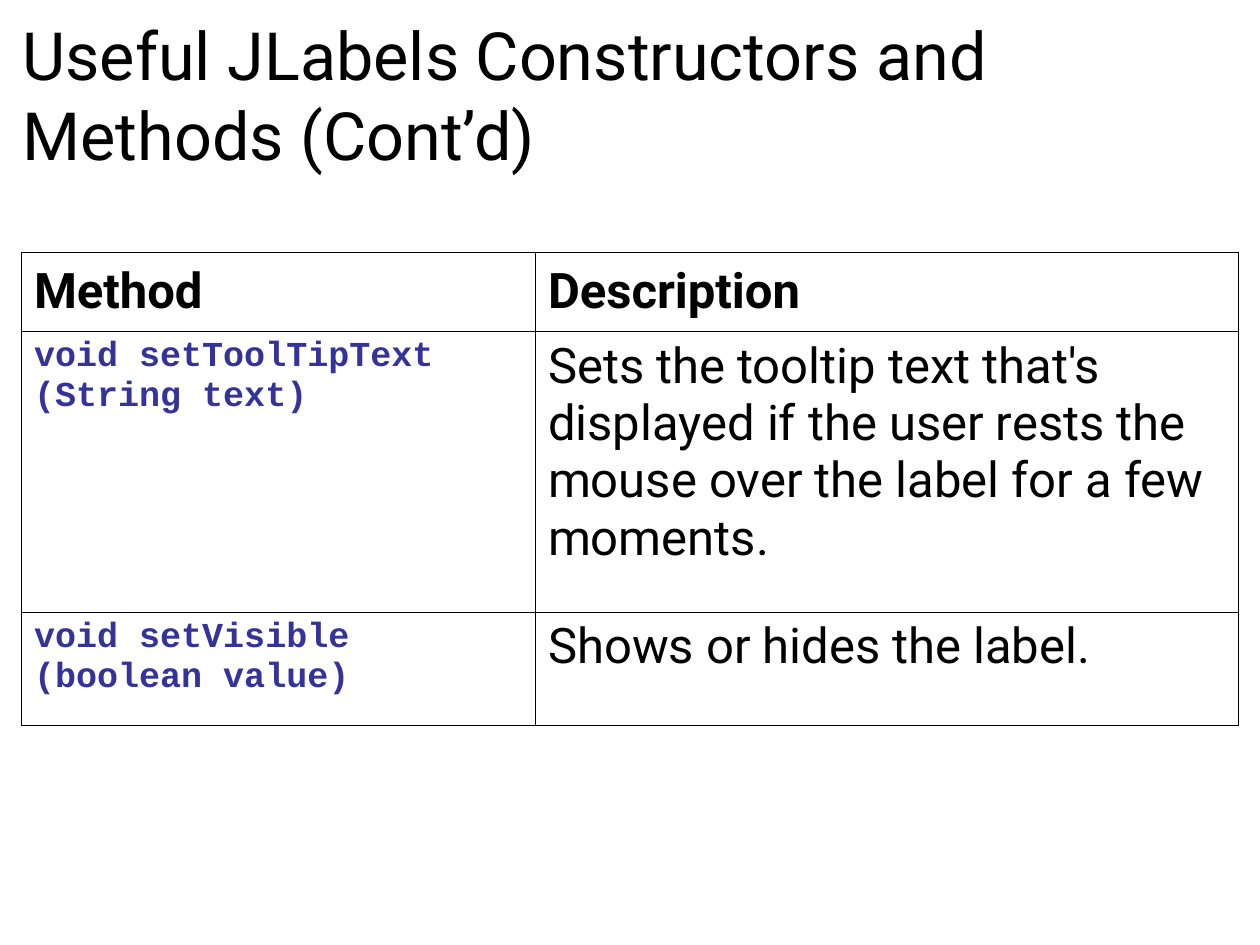
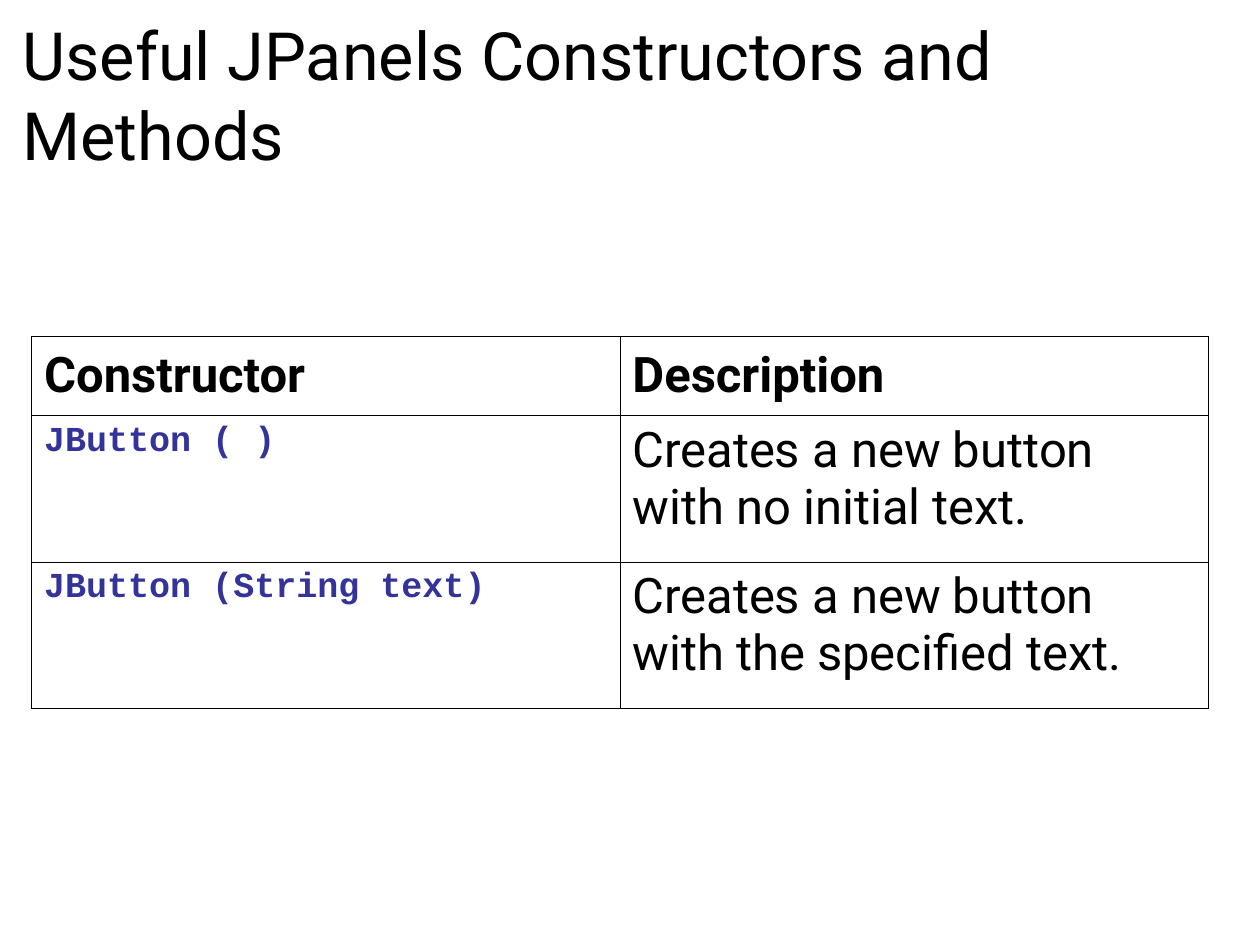
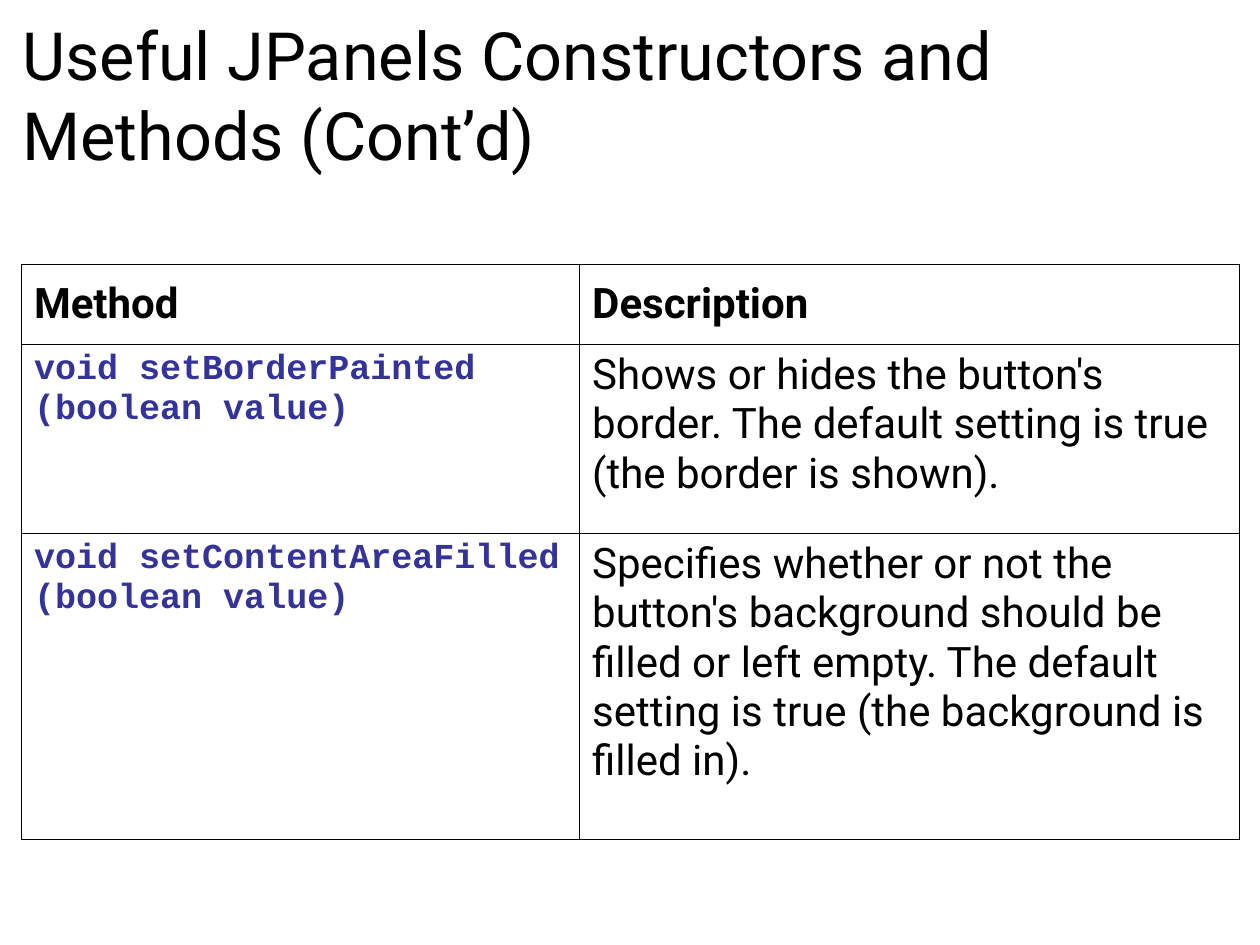
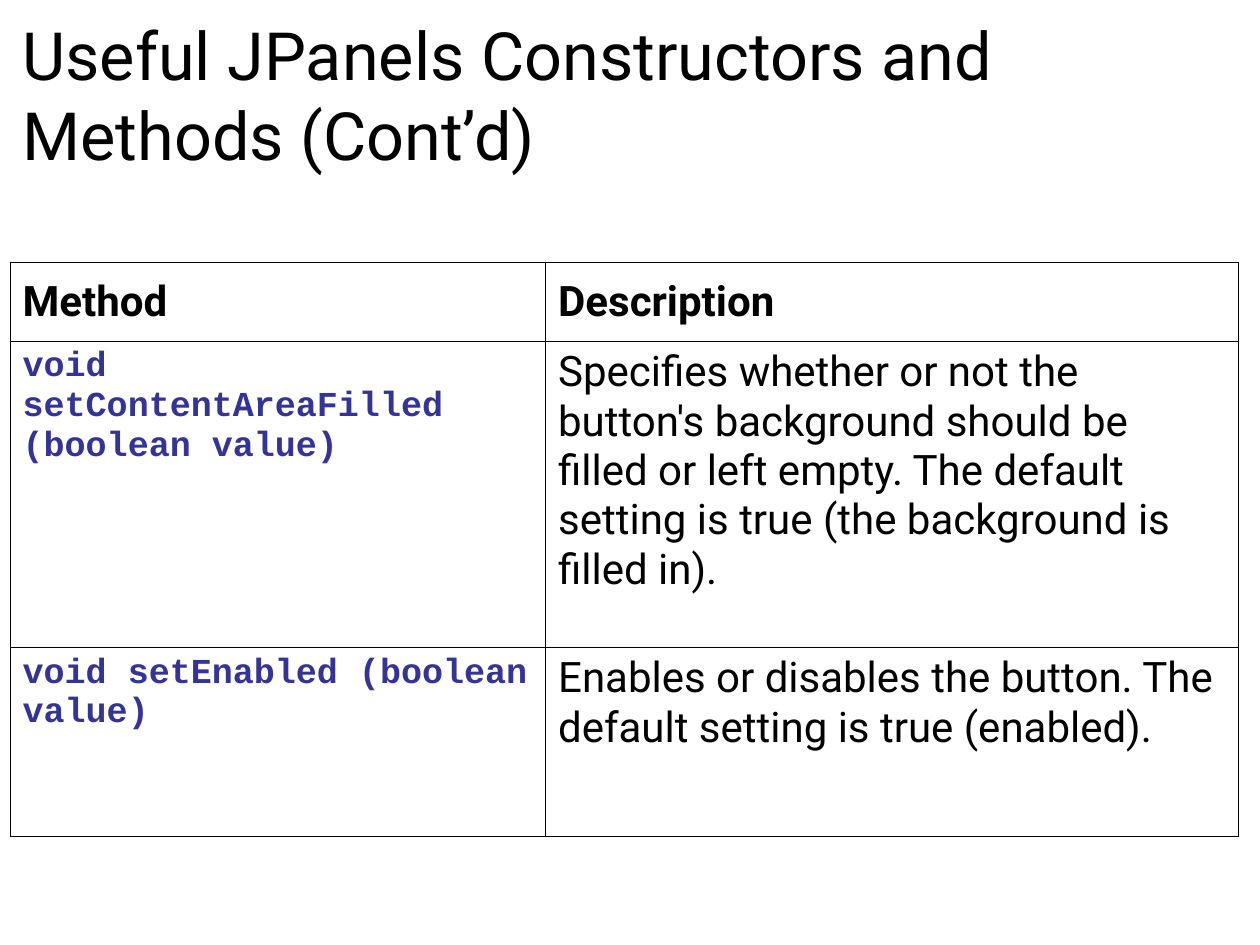
from dataclasses import dataclass

from lxml.etree import SubElement
from pptx import Presentation
from pptx.dml.color import RGBColor
from pptx.enum.text import MSO_ANCHOR as Anchor
from pptx.oxml.ns import qn
from pptx.slide import Slide
from pptx.table import _Cell as Cell
from pptx.text.text import TextFrame
from pptx.util import Inches, Pt

COLORS = {"text": "000000", "code": "333399", "border": "000000"}
BODY_FONT = "Roboto"
CODE_FONT = "Courier New"
BORDER_WIDTH = Pt(0.45)
HEADER_HEIGHT = 0.63

CONTENT_AREA_FILLED = (
    "void setContentAreaFilled (boolean value)",
    "Specifies whether or not the button's background should be filled or left "
    "empty. The default setting is true (the background is filled in).",
)


@dataclass(frozen=True)
class ReferencePage:
    """A titled table of signatures and descriptions; lengths in inches."""
    title: str
    kind: str
    left: float
    top: float
    column_widths: tuple[float, float]
    entry_heights: tuple[float, float]
    body_size: int
    entries: tuple[tuple[str, str], ...]


PAGES = (
    ReferencePage(
        "Useful JLabels Constructors and Methods (Cont’d)", "Method",
        0.17, 2, (4.08, 5.58), (2.23, 0.9), 28,
        (("void setToolTipText (String text)",
          "Sets the tooltip text that's displayed if the user rests the mouse "
          "over the label for a few moments."),
         ("void setVisible (boolean value)", "Shows or hides the label.")),
    ),
    ReferencePage(
        "Useful JPanels Constructors and Methods", "Constructor",
        0.25, 2.67, (4.67, 4.67), (1.16, 1.16), 28,
        (("JButton ( )", "Creates a new button with no initial text."),
         ("JButton (String text)", "Creates a new button with the specified text.")),
    ),
    ReferencePage(
        "Useful JPanels Constructors and Methods (Cont’d)", "Method",
        0.17, 2.1, (4.43, 5.24), (1.5, 2.43), 24,
        (("void setBorderPainted (boolean value)",
          "Shows or hides the button's border. The default setting is true "
          "(the border is shown)."),
         CONTENT_AREA_FILLED),
    ),
    ReferencePage(
        "Useful JPanels Constructors and Methods (Cont’d)", "Method",
        0.08, 2.08, (4.25, 5.5), (2.43, 1.5), 24,
        (CONTENT_AREA_FILLED,
         ("void setEnabled (boolean value)",
          "Enables or disables the button. The default setting is true (enabled).")),
    ),
)


def write(frame: TextFrame, text: str, *, size: int, font: str = BODY_FONT,
          color: str = "text", bold: bool = False) -> None:
    frame.word_wrap = True
    run = frame.paragraphs[0].add_run()
    run.text = text
    run.font.name = font
    run.font.size = Pt(size)
    run.font.bold = bold
    run.font.color.rgb = RGBColor.from_string(COLORS[color])


def outline(cell: Cell) -> None:
    """Clear the cell's fill and rule all four of its sides."""
    properties = cell._tc.get_or_add_tcPr()
    for side in ("lnL", "lnR", "lnT", "lnB"):
        line = SubElement(properties, qn(f"a:{side}"), w=str(BORDER_WIDTH))
        fill = SubElement(line, qn("a:solidFill"))
        SubElement(fill, qn("a:srgbClr"), val=COLORS["border"])
    cell.fill.background()


def add_title(slide: Slide, title: str) -> None:
    box = slide.shapes.add_textbox(Inches(0.08), Inches(0.06), Inches(8.25), Inches(1.57))
    write(box.text_frame, title, size=38)


def add_reference_table(slide: Slide, page: ReferencePage) -> None:
    heights = (HEADER_HEIGHT, *page.entry_heights)
    table = slide.shapes.add_table(
        len(heights), len(page.column_widths), Inches(page.left), Inches(page.top),
        Inches(sum(page.column_widths)), Inches(sum(heights))).table
    table.first_row = table.horz_banding = False
    for column, width in zip(table.columns, page.column_widths):
        column.width = Inches(width)
    for row, height in zip(table.rows, heights):
        row.height = Inches(height)
    for cell in table.iter_cells():
        outline(cell)

    for column, heading in enumerate((page.kind, "Description")):
        cell = table.cell(0, column)
        cell.vertical_anchor = Anchor.MIDDLE
        write(cell.text_frame, heading, size=page.body_size, bold=True)
    for row, (signature, description) in enumerate(page.entries, start=1):
        write(table.cell(row, 0).text_frame, signature, size=20,
              font=CODE_FONT, color="code", bold=True)
        write(table.cell(row, 1).text_frame, description, size=page.body_size)


def main() -> None:
    deck = Presentation()
    deck.slide_width, deck.slide_height = Inches(10), Inches(7.5)
    blank = deck.slide_layouts[6]
    for page in PAGES:
        slide = deck.slides.add_slide(blank)
        add_title(slide, page.title)
        add_reference_table(slide, page)
    deck.save("out.pptx")


if __name__ == "__main__":
    main()
